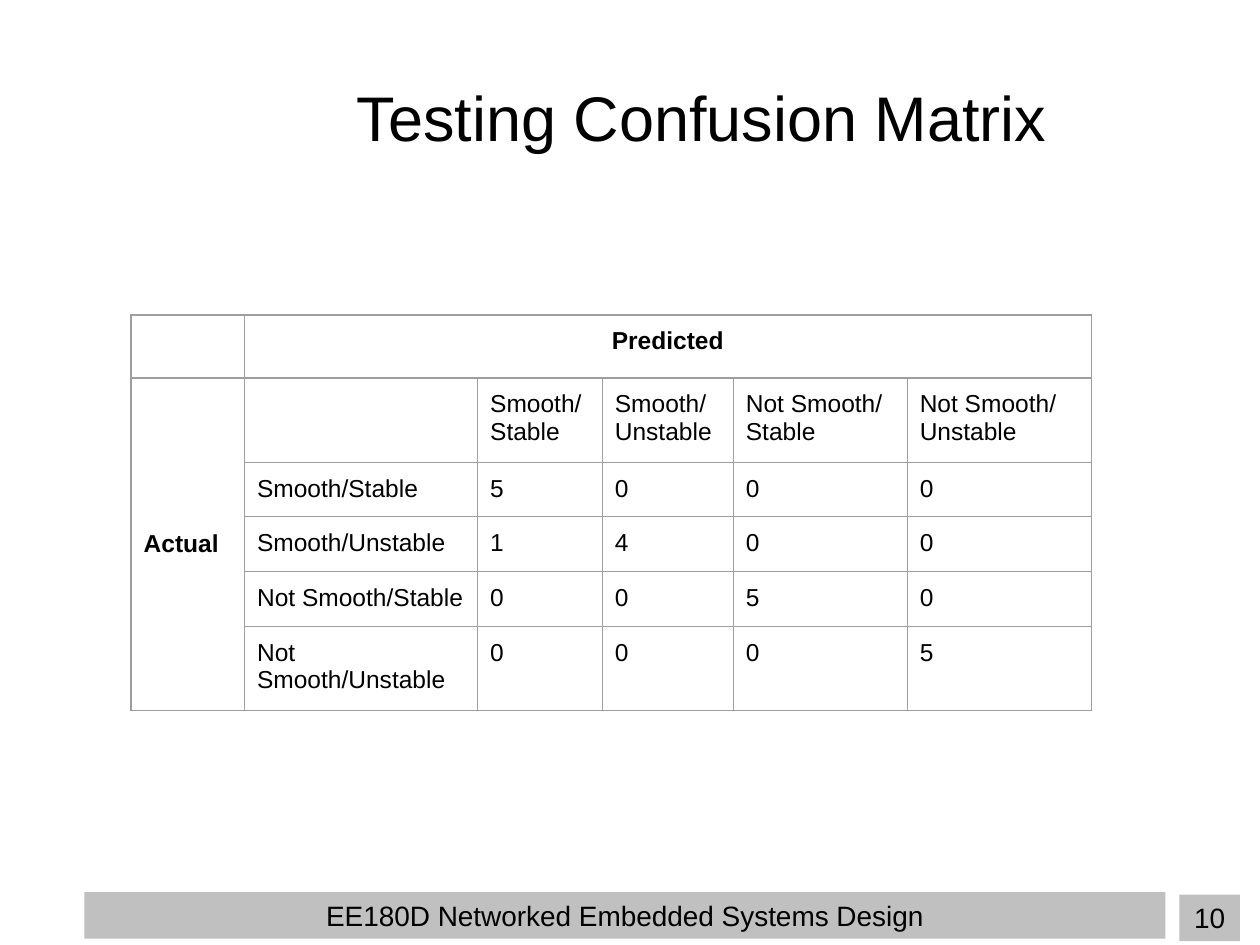
from dataclasses import dataclass

from lxml.etree import SubElement
from pptx import Presentation
from pptx.dml.color import RGBColor
from pptx.enum.shapes import MSO_SHAPE
from pptx.enum.text import MSO_ANCHOR, PP_ALIGN
from pptx.oxml.ns import qn
from pptx.util import Inches, Pt

BLACK, SILVER, RULE = "000000", "C0C0C0", "9E9E9E"
COLUMN_WIDTHS = [0.9, 1.85, 0.99, 1.04, 1.38, 1.46]
LINE_ROW, TWO_LINE_ROW = 0.42, 0.63
ROW_HEIGHTS = [0.48, TWO_LINE_ROW] + [LINE_ROW] * 3 + [TWO_LINE_ROW]
PREDICTED = ["Smooth/\nStable", "Smooth/Unstable", "Not Smooth/ Stable", "Not Smooth/ Unstable"]
ACTUAL = ["Smooth/Stable", "Smooth/Unstable", "Not Smooth/Stable", "Not Smooth/Unstable"]
COUNTS = [[5, 0, 0, 0], [1, 4, 0, 0], [0, 0, 5, 0], [0, 0, 0, 5]]


@dataclass
class Panel:
    text: str
    left: float
    top: float
    width: float
    height: float
    size: int
    fill: str | None = None


PANELS = [
    Panel("10", 9.36, 7.1, 0.48, 0.37, 16, SILVER),
    Panel("EE180D Networked Embedded Systems Design", 0.67, 7.08, 8.58, 0.37, 16, SILVER),
    Panel("Testing Confusion Matrix", 1.64, 0.3, 7.86, 1.25, 36),
]


def colour(value: str) -> RGBColor:
    return RGBColor.from_string(value)


def write(frame, text: str, size: int, bold: bool = False, align=PP_ALIGN.LEFT) -> None:
    frame.text = text
    for paragraph in frame.paragraphs:
        paragraph.alignment = align
        for run in paragraph.runs:
            run.font.color.rgb = colour(BLACK)
            for name, value in {"name": "Arial", "size": Pt(size), "bold": bold}.items():
                setattr(run.font, name, value)


def draw_panel(slide, panel: Panel) -> None:
    box = [Inches(n) for n in (panel.left, panel.top, panel.width, panel.height)]
    if panel.fill:
        shape = slide.shapes.add_shape(MSO_SHAPE.RECTANGLE, *box)
        shape.shadow.inherit = False
        shape.fill.solid()
        shape.fill.fore_color.rgb = colour(panel.fill)
        shape.line.fill.background()
    else:
        shape = slide.shapes.add_textbox(*box)
    frame = shape.text_frame
    frame.word_wrap = True
    frame.vertical_anchor = MSO_ANCHOR.MIDDLE if not panel.fill else MSO_ANCHOR.TOP
    write(frame, panel.text, panel.size, align=PP_ALIGN.CENTER)


def style_cell(cell) -> None:
    """Give a cell even margins, thin grey borders and no fill."""
    for side in ("left", "right", "top", "bottom"):
        setattr(cell, f"margin_{side}", Inches(0.1))
    properties = cell._tc.get_or_add_tcPr()
    for edge in ("a:lnL", "a:lnR", "a:lnT", "a:lnB"):
        line = SubElement(properties, qn(edge), w=str(Pt(0.75)))
        SubElement(SubElement(line, qn("a:solidFill")), qn("a:srgbClr"), val=RULE)
    cell.fill.background()


def draw_matrix(slide) -> None:
    frame = slide.shapes.add_table(
        len(ROW_HEIGHTS), len(COLUMN_WIDTHS), Inches(1.04), Inches(2.5),
        Inches(sum(COLUMN_WIDTHS)), Inches(sum(ROW_HEIGHTS)))
    table = frame.table
    table.first_row = table.horz_banding = False
    for column, width in zip(table.columns, COLUMN_WIDTHS):
        column.width = Inches(width)
    for row, height in zip(table.rows, ROW_HEIGHTS):
        row.height = Inches(height)
    for cell in table.iter_cells():
        style_cell(cell)

    predicted, actual = table.cell(0, 1), table.cell(1, 0)
    predicted.merge(table.cell(0, len(COLUMN_WIDTHS) - 1))
    actual.merge(table.cell(len(ROW_HEIGHTS) - 1, 0))
    write(predicted.text_frame, "Predicted", 14, True, PP_ALIGN.CENTER)
    write(actual.text_frame, "Actual", 14, True)
    actual.vertical_anchor = MSO_ANCHOR.MIDDLE

    body = [["", *PREDICTED]] + [[label, *counts] for label, counts in zip(ACTUAL, COUNTS)]
    for r, entries in enumerate(body, 1):
        for c, entry in enumerate(entries, 1):
            write(table.cell(r, c).text_frame, str(entry), 14)


def main() -> None:
    deck = Presentation()
    deck.slide_width, deck.slide_height = Inches(10), Inches(7.5)
    slide = deck.slides.add_slide(deck.slide_layouts[6])
    for panel in PANELS:
        draw_panel(slide, panel)
    draw_matrix(slide)
    deck.save("out.pptx")


if __name__ == "__main__":
    main()
